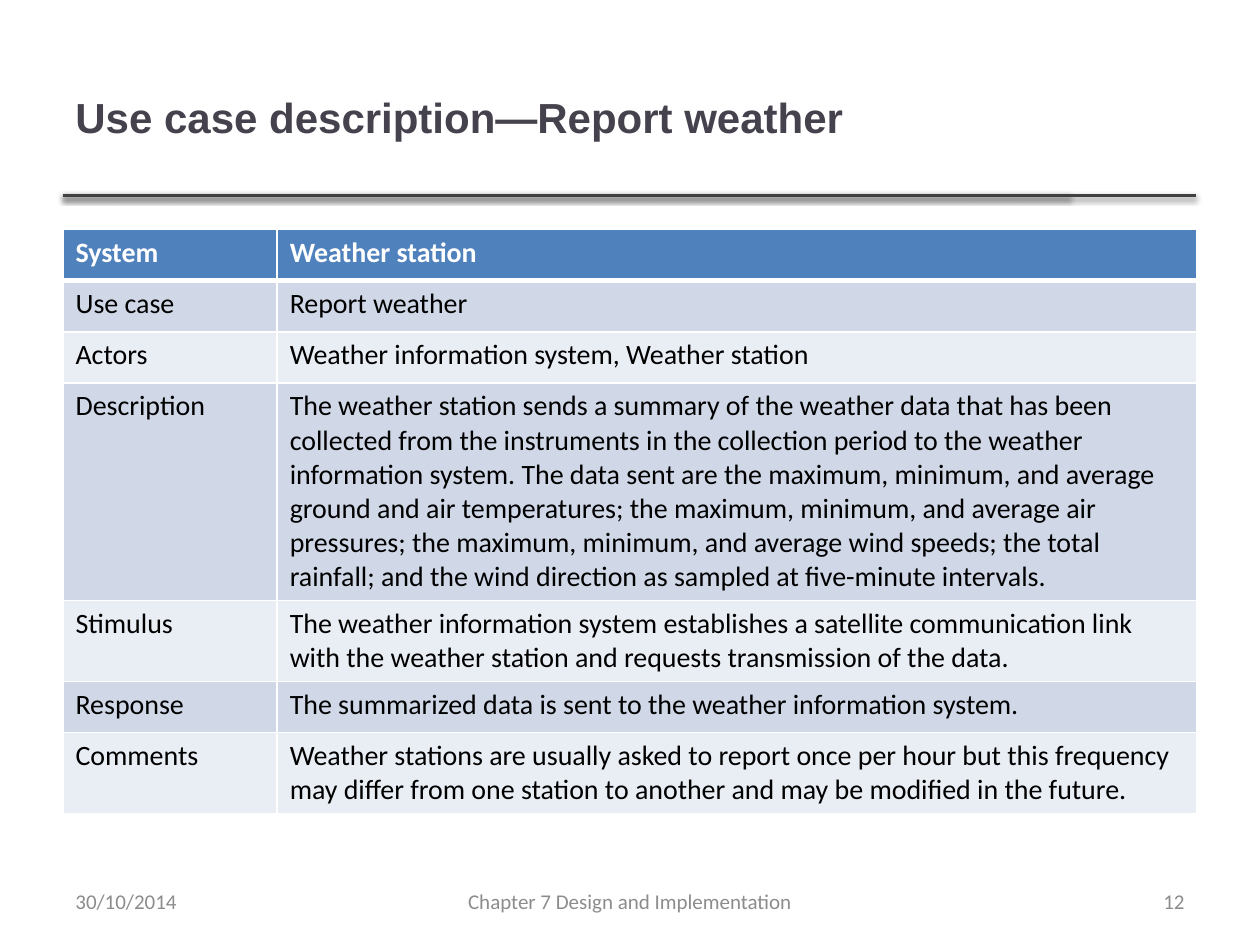
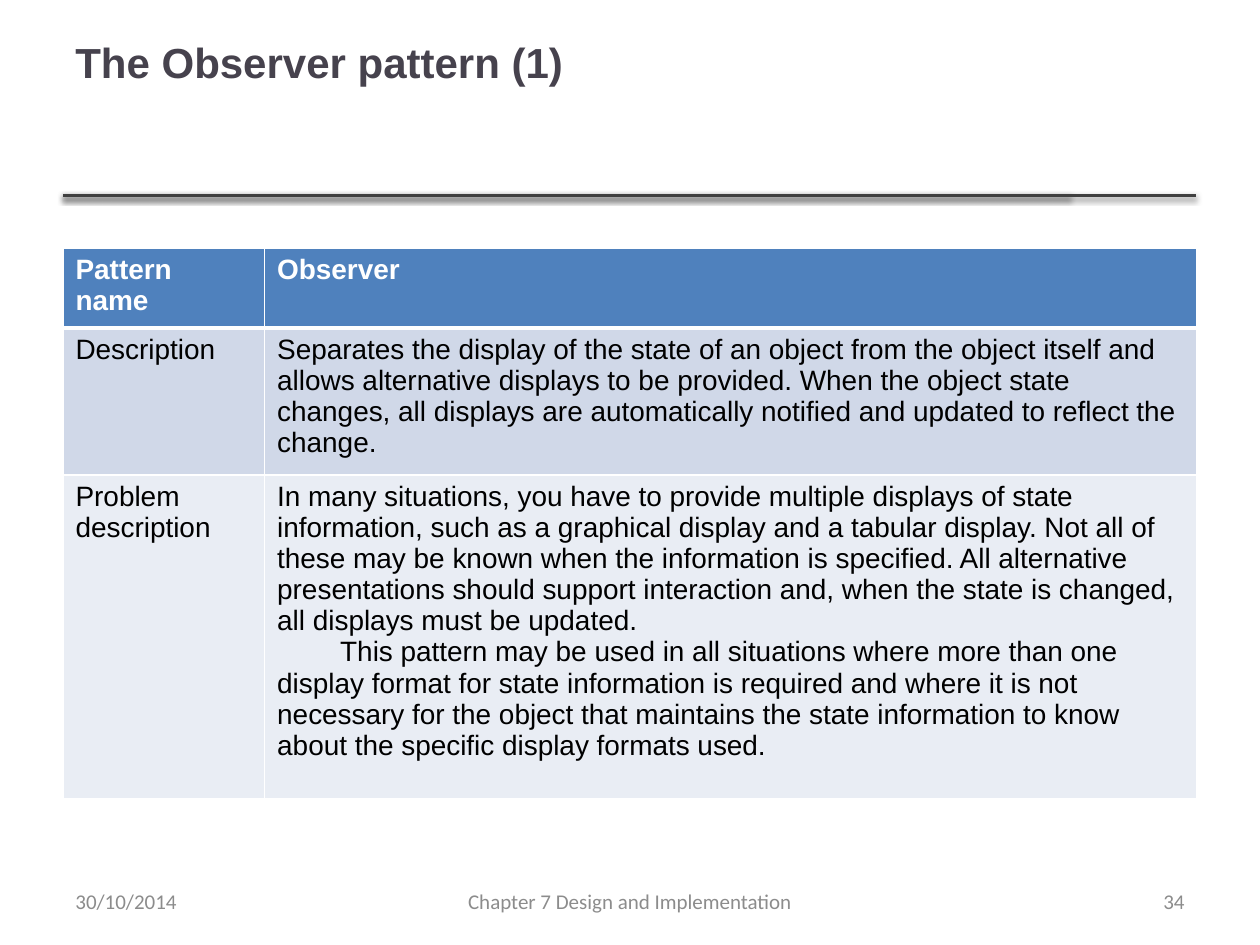
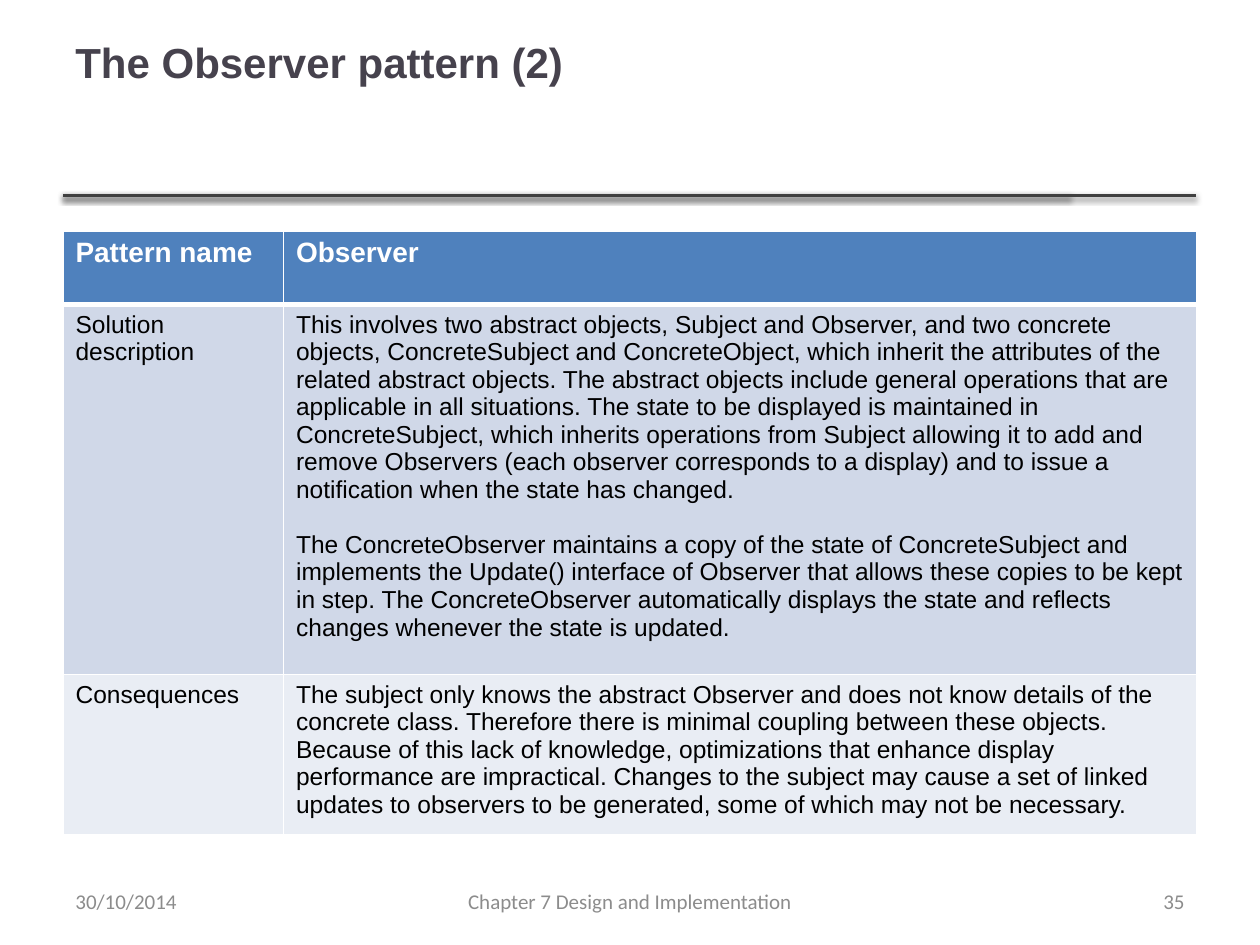
from collections import namedtuple

from lxml import etree
from pptx import Presentation
from pptx.dml.color import RGBColor
from pptx.enum.shapes import MSO_CONNECTOR
from pptx.enum.text import MSO_ANCHOR, PP_ALIGN
from pptx.oxml import parse_xml
from pptx.oxml.ns import nsdecls, qn
from pptx.util import Pt

LEFT, CENTER, RIGHT = PP_ALIGN.LEFT, PP_ALIGN.CENTER, PP_ALIGN.RIGHT
MIDDLE = MSO_ANCHOR.MIDDLE
STRAIGHT = MSO_CONNECTOR.STRAIGHT

Box = namedtuple("Box", "left top width height")
Style = namedtuple("Style", "font size color bold")
Para = namedtuple("Para", "text indent before", defaults=(0, 0))

WHITE, BLACK, RULE_GRAY = "FFFFFF", "000000", "404040"
HEADER_FILL = "4F81BD"
BAND_FILLS = ("D0D8E8", "E9EDF4")
TITLE_STYLE = Style("Arial", 24, "46424D", True)
FOOTER_STYLE = Style("Calibri", 12, "8C8C8C", False)

MARGIN, CONTENT_WIDTH = 36, 648
RULE_TOP = 111.6
RULE_ENDS = (611.28, 683.28)
FOOTER_TOP, FOOTER_HEIGHT = 500.4, 28.8
TITLE_MIDDLE = Box(MARGIN, 21.6, 575, 90)
TITLE_TOP = Box(MARGIN, 0, CONTENT_WIDTH, 70)

USE_CASE_ROWS = [
    ("System", "Weather station"),
    ("Use case", "Report weather"),
    ("Actors", "Weather information system, Weather station"),
    ("Description",
     "The weather station sends a summary of the weather data that has been collected "
     "from the instruments in the collection period to the weather information system. "
     "The data sent are the maximum, minimum, and average ground and air temperatures; "
     "the maximum, minimum, and average air pressures; the maximum, minimum, and average "
     "wind speeds; the total rainfall; and the wind direction as sampled at five-minute "
     "intervals."),
    ("Stimulus",
     "The weather information system establishes a satellite communication link with the "
     "weather station and requests transmission of the data."),
    ("Response", "The summarized data is sent to the weather information system."),
    ("Comments",
     "Weather stations are usually asked to report once per hour but this frequency may "
     "differ from one station to another and may be modified in the future."),
]

PROBLEM_ROWS = [
    ("Pattern name", "Observer"),
    ("Description",
     "Separates the display of the state of an object from the object itself and allows "
     "alternative displays to be provided. When the object state changes, all displays "
     "are automatically notified and updated to reflect the change."),
    ("Problem description",
     "In many situations, you have to provide multiple displays of state information, "
     "such as a graphical display and a tabular display. Not all of these may be known "
     "when the information is specified. All alternative presentations should support "
     "interaction and, when the state is changed, all displays must be updated.",
     Para("This pattern may be used in all situations where more than one display format "
          "for state information is required and where it is not necessary for the object "
          "that maintains the state information to know about the specific display formats "
          "used.", indent=36)),
]

SOLUTION_ROWS = [
    ("Pattern name", "Observer"),
    ("Solution description",
     "This involves two abstract objects, Subject and Observer, and two concrete objects, "
     "ConcreteSubject and ConcreteObject, which inherit the attributes of the related "
     "abstract objects. The abstract objects include general operations that are "
     "applicable in all situations. The state to be displayed is maintained in "
     "ConcreteSubject, which inherits operations from Subject allowing it to add and "
     "remove Observers (each observer corresponds to a display) and to issue a "
     "notification when the state has changed.",
     Para("The ConcreteObserver maintains a copy of the state of ConcreteSubject and "
          "implements the Update() interface of Observer that allows these copies to be "
          "kept in step. The ConcreteObserver automatically displays the state and "
          "reflects changes whenever the state is updated.", before=15.8)),
    ("Consequences",
     "The subject only knows the abstract Observer and does not know details of the "
     "concrete class. Therefore there is minimal coupling between these objects. Because "
     "of this lack of knowledge, optimizations that enhance display performance are "
     "impractical. Changes to the subject may cause a set of linked updates to observers "
     "to be generated, some of which may not be necessary."),
]


def rgb(value):
    """Turn a hex string into a colour."""
    return RGBColor.from_string(value)


def points(box):
    """Turn a box into four lengths in points."""
    return [Pt(length) for length in box]


def write(frame, paragraphs, style, align=LEFT):
    """Fill a text frame with paragraphs in one style."""
    frame.word_wrap = True
    for index, item in enumerate(paragraphs):
        item = item if isinstance(item, Para) else Para(item)
        para = frame.add_paragraph() if index else frame.paragraphs[0]
        para.alignment = align
        if item.before:
            para.space_before = Pt(item.before)
        if item.indent:
            para._p.get_or_add_pPr().set("indent", str(Pt(item.indent)))
        span = para.add_run()
        span.text = item.text
        span.font.name = style.font
        span.font.size = Pt(style.size)
        span.font.bold = style.bold
        span.font.color.rgb = rgb(style.color)


def add_text(page, box, text, style, align=LEFT):
    """Place one vertically centred line of text."""
    frame = page.shapes.add_textbox(*points(box)).text_frame
    frame.vertical_anchor = MIDDLE
    write(frame, [text], style, align)


def add_rule(page, end):
    """Draw a shadowed rule from the left margin to an end."""
    rule = page.shapes.add_connector(
        STRAIGHT, Pt(MARGIN), Pt(RULE_TOP), Pt(end), Pt(RULE_TOP))
    rule.line.color.rgb = rgb(RULE_GRAY)
    rule.line.width = Pt(2)
    rule._element.spPr.append(parse_xml(
        f'<a:effectLst {nsdecls("a")}>'
        f'<a:outerShdw blurRad="{Pt(3.1)}" dist="{Pt(1.6)}" dir="5400000" rotWithShape="0">'
        f'<a:srgbClr val="{BLACK}"><a:alpha val="38000"/></a:srgbClr>'
        '</a:outerShdw></a:effectLst>'))


def add_footer(page, number):
    """Place the date, chapter name and slide number."""
    parts = (
        (MARGIN, 168, "30/10/2014", LEFT),
        (246, 228, "Chapter 7 Design and Implementation", CENTER),
        (516, 168, str(number), RIGHT),
    )
    for left, width, text, align in parts:
        add_text(page, Box(left, FOOTER_TOP, width, FOOTER_HEIGHT), text, FOOTER_STYLE, align)


def set_borders(cell, top, bottom):
    """Give a cell white borders, one point wide at the sides."""
    properties = cell._tc.get_or_add_tcPr()
    for side, width in (("L", 1), ("R", 1), ("T", top), ("B", bottom)):
        line = etree.SubElement(properties, qn(f"a:ln{side}"), w=str(Pt(width)))
        fill = etree.SubElement(line, qn("a:solidFill"))
        etree.SubElement(fill, qn("a:srgbClr"), val=WHITE)


def add_description_table(page, top, label_width, heights, rows, font, body_size):
    """Build a two-column table with a header and banded rows."""
    box = Box(MARGIN, top, CONTENT_WIDTH, sum(heights))
    table = page.shapes.add_table(len(rows), 2, *points(box)).table
    table.columns[0].width = Pt(label_width)
    table.columns[1].width = Pt(box.width - label_width)
    header = Style(font, 16, WHITE, True)
    body = Style(font, body_size, BLACK, False)
    for index, (height, (label, *details)) in enumerate(zip(heights, rows)):
        table.rows[index].height = Pt(height)
        fill = BAND_FILLS[(index - 1) % 2] if index else HEADER_FILL
        for column, paragraphs in enumerate(([label], details)):
            cell = table.cell(index, column)
            set_borders(cell, 3 if index == 1 else 1, 1 if index else 3)
            cell.fill.solid()
            cell.fill.fore_color.rgb = rgb(fill)
            write(cell.text_frame, paragraphs, body if index else header)


def add_page(deck, title, title_box, number):
    """Add a slide with its rules, title and footer."""
    page = deck.slides.add_slide(deck.slide_layouts[6])
    for end in RULE_ENDS:
        add_rule(page, end)
    add_text(page, title_box, title, TITLE_STYLE)
    add_footer(page, number)
    return page


def main():
    """Build and save the deck."""
    deck = Presentation()
    deck.slide_width, deck.slide_height = Pt(720), Pt(540)

    page = add_page(deck, "Use case description—Report weather", TITLE_MIDDLE, 12)
    add_description_table(page, 131.2, 122.4, (29.2, 29.2, 29.2, 124.4, 46.3, 29.2, 46.3),
                          USE_CASE_ROWS, "Calibri", 16)

    page = add_page(deck, "The Observer pattern (1)", TITLE_TOP, 34)
    add_description_table(page, 141.8, 115.2, (42, 78.5, 185), PROBLEM_ROWS, "Arial", 16)

    page = add_page(deck, "The Observer pattern (2)", TITLE_TOP, 35)
    add_description_table(page, 132, 126, (42, 211.5, 85.5), SOLUTION_ROWS, "Arial", 14)

    deck.save("out.pptx")


if __name__ == "__main__":
    main()
